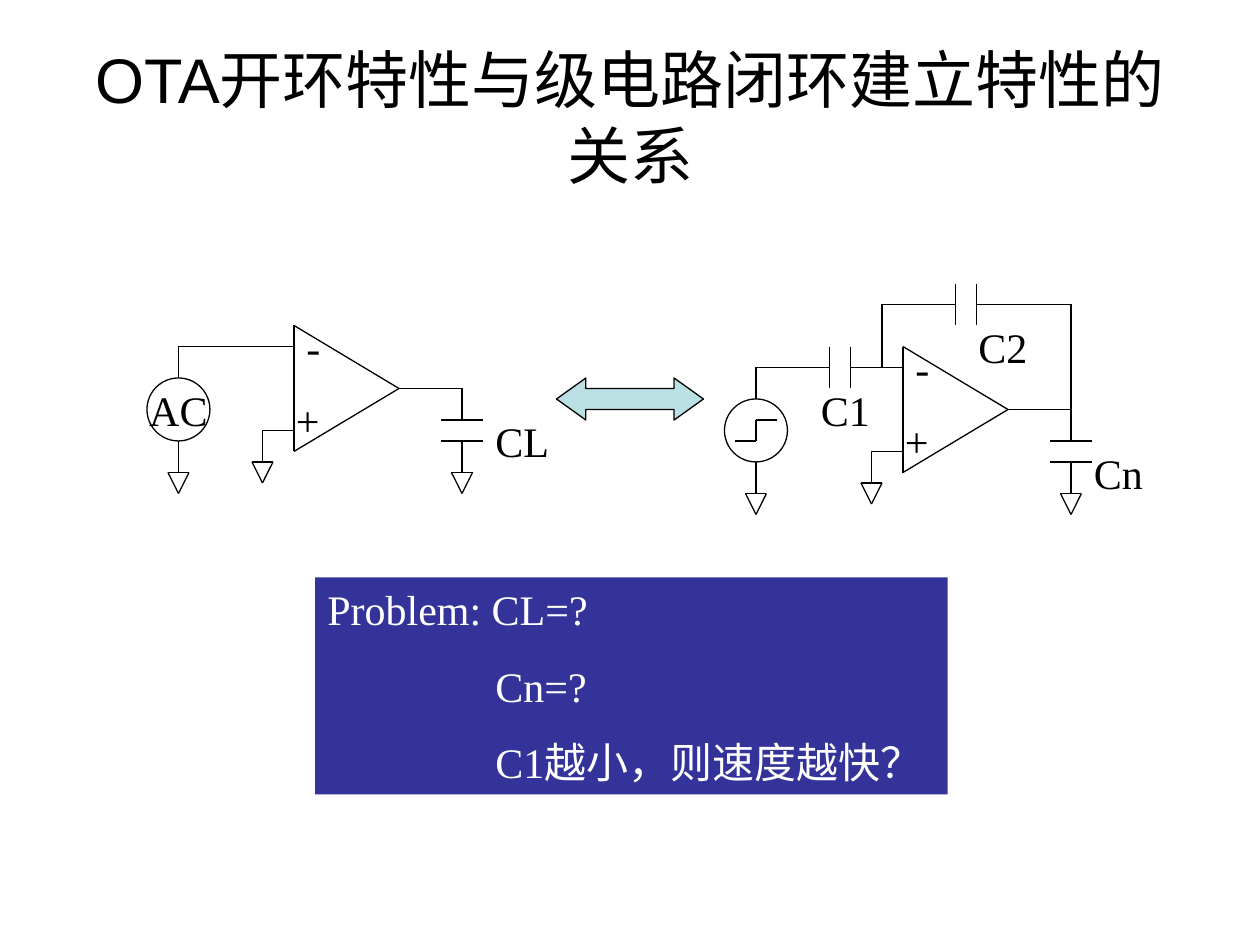
from itertools import pairwise

from pptx import Presentation
from pptx.dml.color import RGBColor
from pptx.enum.shapes import MSO_CONNECTOR, MSO_SHAPE
from pptx.enum.text import MSO_ANCHOR, PP_ALIGN
from pptx.oxml.ns import qn
from pptx.util import Pt

COLORS = {"ink": "000000", "paper": "FFFFFF", "arrow": "BBE0E3", "panel": "333399"}
LINE_WIDTH = Pt(0.75)


def color(name):
    return RGBColor.from_string(COLORS[name])


def format_text(text_frame, size=24, font="Times New Roman", ink="ink",
                alignment=PP_ALIGN.LEFT):
    for paragraph in text_frame.paragraphs:
        paragraph.alignment = alignment
        for run in paragraph.runs:
            run.font.size = Pt(size)
            run.font.name = font
            run.font.color.rgb = color(ink)


def add_title(slide, text):
    title = slide.shapes.title
    title.left, title.top, title.width, title.height = Pt(36), Pt(21.6), Pt(648), Pt(90)
    text_frame = title.text_frame
    text_frame.text = text
    text_frame.vertical_anchor = MSO_ANCHOR.MIDDLE
    format_text(text_frame, 36, "Arial", alignment=PP_ALIGN.CENTER)


def add_wire(slide, *points):
    """Draw straight segments through the points."""
    for (x1, y1), (x2, y2) in pairwise(points):
        line = slide.shapes.add_connector(
            MSO_CONNECTOR.STRAIGHT, Pt(x1), Pt(y1), Pt(x2), Pt(y2))
        line.line.color.rgb = color("ink")
        line.line.width = LINE_WIDTH
        properties = line._element.spPr
        properties.append(properties.makeelement(qn("a:effectLst"), {}))


def add_shape(slide, kind, left, top, width, height, fill=None, outlined=True):
    shape = slide.shapes.add_shape(kind, Pt(left), Pt(top), Pt(width), Pt(height))
    shape.shadow.inherit = False
    if fill:
        shape.fill.solid()
        shape.fill.fore_color.rgb = color(fill)
    else:
        shape.fill.background()
    if outlined:
        shape.line.color.rgb = color("ink")
        shape.line.width = LINE_WIDTH
    else:
        shape.line.fill.background()
    return shape


def add_label(slide, text, left, top, width=48):
    label = slide.shapes.add_textbox(Pt(left), Pt(top), Pt(width), Pt(36))
    label.text_frame.word_wrap = True
    label.text_frame.text = text
    format_text(label.text_frame)


def add_ground(slide, x, start, top):
    """Draw a stem from start down to a ground triangle."""
    add_wire(slide, (x, start), (x, top))
    add_wire(slide, (x - 6, top), (x + 6, top), (x, top + 12), (x - 6, top))


def add_series_capacitor(slide, x, y):
    for plate in (x, x + 12):
        add_wire(slide, (plate, y - 12), (plate, y + 12))


def add_amplifier(slide, x, y):
    """Draw the amplifier, its grounded input and its load capacitor."""
    middle, plus, load = y + 36, y + 60, x + 96
    add_wire(slide, (x, y), (x + 60, middle), (x, y + 72), (x, y))
    add_wire(slide, (x, plus), (x - 18, plus))
    add_ground(slide, x - 18, plus, y + 78)
    add_wire(slide, (x + 60, middle), (load, middle), (load, y + 54))
    for plate in (y + 54, y + 66):
        add_wire(slide, (load - 12, plate), (load + 12, plate))
    add_ground(slide, load, y + 66, y + 84)
    add_label(slide, "-", x, y - 6, 24)
    add_label(slide, "+", x - 6, y + 36, 24)


def add_source(slide, x, top, input_x):
    """Draw a round source, wired up to an input on its right."""
    circle = add_shape(slide, MSO_SHAPE.OVAL, x - 18, top, 36, 36)
    add_wire(slide, (x, top), (x, top - 18), (input_x, top - 18))
    add_ground(slide, x, top + 36, top + 54)
    return circle


def add_open_loop(slide):
    add_amplifier(slide, 168, 186)
    text_frame = add_source(slide, 102, 216, 168).text_frame
    text_frame.word_wrap = False
    text_frame.vertical_anchor = MSO_ANCHOR.MIDDLE
    text_frame.text = "AC"
    format_text(text_frame, alignment=PP_ALIGN.CENTER)
    add_label(slide, "CL", 276, 234)


def add_closed_loop(slide):
    add_amplifier(slide, 516, 198)
    add_source(slide, 432, 228, 474)
    add_wire(slide, (420, 252), (432, 252), (432, 240), (444, 240))
    # Input capacitor
    add_series_capacitor(slide, 474, 210)
    add_wire(slide, (486, 210), (516, 210))
    # Feedback capacitor
    add_wire(slide, (504, 210), (504, 174), (546, 174))
    add_series_capacitor(slide, 546, 174)
    add_wire(slide, (558, 174), (612, 174), (612, 234))
    for text, left, top in (("Cn", 618, 252), ("C1", 462, 216), ("C2", 552, 180)):
        add_label(slide, text, left, top)


def add_problem_panel(slide, lines):
    panel = add_shape(slide, MSO_SHAPE.RECTANGLE, 180, 330, 361.5, 124, "panel", False)
    text_frame = panel.text_frame
    text_frame.word_wrap = True
    text_frame.vertical_anchor = MSO_ANCHOR.TOP
    text_frame.text = "\n".join(lines)
    for paragraph in text_frame.paragraphs[1:]:
        paragraph.space_before = Pt(15)
        paragraph._p.get_or_add_pPr().set("marL", str(Pt(96)))
    format_text(text_frame, ink="paper")


def main():
    presentation = Presentation()
    presentation.slide_width, presentation.slide_height = Pt(720), Pt(540)
    slide = presentation.slides.add_slide(presentation.slide_layouts[5])
    add_title(slide, "OTA开环特性与级电路闭环建立特性的关系")

    # Circuits
    add_open_loop(slide)
    add_closed_loop(slide)

    # Link between the circuits
    arrow = add_shape(slide, MSO_SHAPE.LEFT_RIGHT_ARROW, 318, 216, 84, 24, "arrow")
    arrow.adjustments[0] = 0.5
    arrow.adjustments[1] = 0.7

    add_problem_panel(slide, ("Problem: CL=?", "Cn=?", "C1越小，则速度越快？"))
    presentation.save("out.pptx")


if __name__ == "__main__":
    main()
